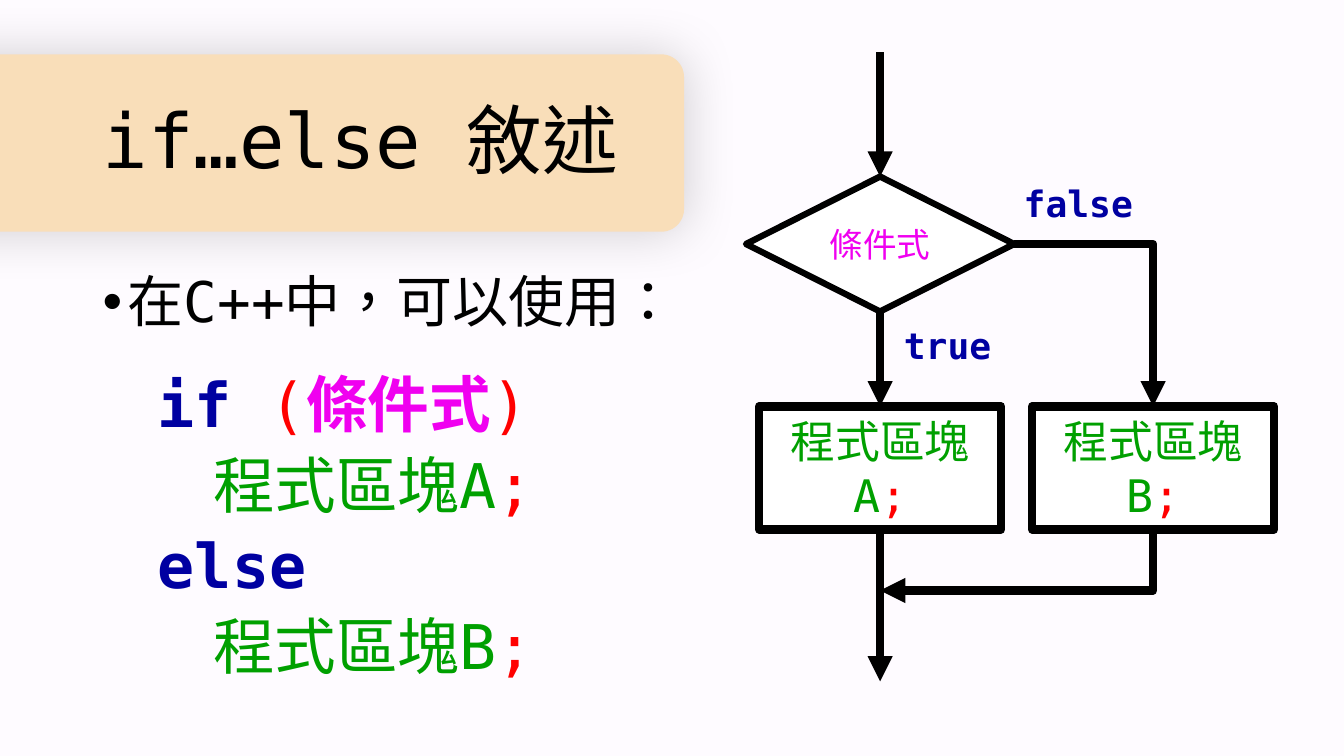
"""Build a slide that explains the if…else statement with a flow chart."""
from dataclasses import dataclass
from typing import NamedTuple

from lxml import etree
from pptx import Presentation
from pptx.dml.color import RGBColor
from pptx.enum.shapes import MSO_CONNECTOR, MSO_SHAPE
from pptx.enum.text import MSO_ANCHOR, PP_ALIGN
from pptx.oxml.ns import qn
from pptx.util import Cm, Pt

ROUNDED = MSO_SHAPE.ROUNDED_RECTANGLE
DECISION = MSO_SHAPE.FLOWCHART_DECISION
PROCESS = MSO_SHAPE.FLOWCHART_PROCESS
STRAIGHT, ELBOW = MSO_CONNECTOR.STRAIGHT, MSO_CONNECTOR.ELBOW
TOP, MIDDLE = MSO_ANCHOR.TOP, MSO_ANCHOR.MIDDLE
LEFT, CENTER = PP_ALIGN.LEFT, PP_ALIGN.CENTER
SITE_TOP, SITE_BOTTOM = 0, 2

FONT = "DejaVu Sans Mono"
BLACK, WHITE, BACKGROUND, PEACH = "000000", "FFFFFF", "FEFBFF", "F9DEB9"
NAVY, RED, MAGENTA, GREEN = "0000A1", "FF0000", "F000F0", "00A000"


class Span(NamedTuple):
    text: str
    color: str = BLACK
    bold: bool = False


class Area(NamedTuple):
    left: float
    top: float
    width: float
    height: float

    @property
    def center(self) -> float:
        return self.left + self.width / 2

    @property
    def middle(self) -> float:
        return self.top + self.height / 2

    @property
    def right(self) -> float:
        return self.left + self.width

    @property
    def bottom(self) -> float:
        return self.top + self.height

    def lengths(self) -> list:
        return [Cm(value) for value in self]


@dataclass
class TextBlock:
    area: Area
    size: float
    lines: list
    anchor: MSO_ANCHOR = MIDDLE
    spacing: float = 0.9
    bullet: bool = False


@dataclass
class FlowNode:
    kind: MSO_SHAPE
    area: Area
    size: float
    border: float
    spans: list


def color_of(code: str) -> RGBColor:
    return RGBColor.from_string(code)


def block_name(letter: str) -> list:
    return [Span(f"程式區塊{letter}", GREEN), Span(";", RED)]


def add_bullet(para) -> None:
    properties = para._p.get_or_add_pPr()
    properties.set("marL", str(Cm(0.635)))
    properties.set("indent", str(-Cm(0.635)))
    etree.SubElement(properties, qn("a:buFont"), typeface="Arial")
    etree.SubElement(properties, qn("a:buChar"), char="•")


def write_lines(frame, lines: list, size: float, anchor, align, spacing: float) -> None:
    frame.word_wrap = True
    frame.vertical_anchor = anchor
    for index, spans in enumerate(lines):
        para = frame.paragraphs[0] if index == 0 else frame.add_paragraph()
        para.alignment = align
        para.line_spacing = spacing
        if index:
            para.space_before = Pt(10)
        for text, color, bold in spans:
            span = para.add_run()
            span.text = text
            style = {"name": FONT, "size": Pt(size), "bold": bold}
            for name, value in style.items():
                setattr(span.font, name, value)
            span.font.color.rgb = color_of(color)
            span._r.get_or_add_rPr().set("lang", "zh-TW")


def draw_text(page, block: TextBlock) -> None:
    frame = page.shapes.add_textbox(*block.area.lengths()).text_frame
    if block.bullet:
        add_bullet(frame.paragraphs[0])
    write_lines(frame, block.lines, block.size, block.anchor, LEFT, block.spacing)


def draw_band(page, area: Area) -> None:
    band = page.shapes.add_shape(ROUNDED, *area.lengths())
    band.adjustments[0] = 0.128
    band.fill.solid()
    band.fill.fore_color.rgb = color_of(PEACH)
    band.line.fill.background()
    effects = etree.SubElement(band._element.spPr, qn("a:effectLst"))
    shadow = etree.SubElement(effects, qn("a:outerShdw"), blurRad=str(Pt(38)), dist="0")
    tint = etree.SubElement(shadow, qn("a:srgbClr"), val=BLACK)
    etree.SubElement(tint, qn("a:alpha"), val="19000")


def draw_node(page, node: FlowNode):
    shape = page.shapes.add_shape(node.kind, *node.area.lengths())
    shape.shadow.inherit = False
    shape.fill.solid()
    shape.fill.fore_color.rgb = color_of(WHITE)
    shape.line.color.rgb = color_of(BLACK)
    shape.line.width = Pt(node.border)
    write_lines(shape.text_frame, [node.spans], node.size, MIDDLE, CENTER, 1.0)
    return shape


def draw_arrow(page, kind, start: tuple, end: tuple):
    points = [Cm(value) for value in (*start, *end)]
    arrow = page.shapes.add_connector(kind, *points)
    arrow.line.color.rgb = color_of(BLACK)
    arrow.line.width = Pt(6)
    etree.SubElement(arrow.line._get_or_add_ln(), qn("a:tailEnd"), type="triangle")
    etree.SubElement(arrow._element.spPr, qn("a:effectLst"))
    return arrow


def draw_bent_arrow(page, start: tuple, end: tuple, down_first: bool = False) -> None:
    """Draw a one-corner arrow; down_first turns it to go down, then left."""
    if down_first:
        center, middle = (start[0] + end[0]) / 2, (start[1] + end[1]) / 2
        half_width, half_height = (end[1] - start[1]) / 2, (start[0] - end[0]) / 2
        start = (center - half_width, middle - half_height)
        end = (center + half_width, middle + half_height)
    properties = draw_arrow(page, ELBOW, start, end)._element.spPr
    properties.find(qn("a:prstGeom")).set("prst", "bentConnector2")
    if down_first:
        properties.find(qn("a:xfrm")).set("rot", str(90 * 60000))


def draw_flow(page) -> None:
    test_area = Area(18.8, 4.45, 6.76, 3.4)
    yes_area = Area(19.13, 10.24, 6.1, 3.1)
    no_area = yes_area._replace(left=26.01)
    test = draw_node(page, FlowNode(DECISION, test_area, 24, 4.5, [Span("條件式", MAGENTA)]))
    yes = draw_node(page, FlowNode(PROCESS, yes_area, 32, 6, block_name("A")))
    draw_node(page, FlowNode(PROCESS, no_area, 32, 6, block_name("B")))

    axis = test_area.center
    entry = draw_arrow(page, STRAIGHT, (axis, 1.32), (axis, test_area.top))
    entry.end_connect(test, SITE_TOP)
    branch = draw_arrow(page, STRAIGHT, (axis, test_area.bottom), (axis, yes_area.top))
    branch.begin_connect(test, SITE_BOTTOM)
    branch.end_connect(yes, SITE_TOP)
    leave = draw_arrow(page, STRAIGHT, (axis, yes_area.bottom), (axis, 17.17))
    leave.begin_connect(yes, SITE_BOTTOM)
    draw_bent_arrow(page, (test_area.right, test_area.middle), (no_area.center, no_area.top))
    draw_bent_arrow(page, (no_area.center, no_area.bottom), (axis, 14.88), down_first=True)


def main() -> None:
    deck = Presentation()
    deck.slide_width, deck.slide_height = Cm(33.87), Cm(19.05)
    page = deck.slides.add_slide(deck.slide_layouts[6])
    page.background.fill.solid()
    page.background.fill.fore_color.rgb = color_of(BACKGROUND)

    code = [
        [Span("if ", NAVY, True), Span("(", RED), Span("條件式", MAGENTA, True), Span(")", RED)],
        [Span("    "), *block_name("A")],
        [Span("else", NAVY, True)],
        [Span("    "), *block_name("B")],
    ]
    draw_band(page, Area(-3.99, 1.37, 21.23, 4.47))
    for block in (
        TextBlock(Area(2.34, 1.8, 29.21, 3.68), 54, [[Span("if…else 敘述")]]),
        TextBlock(Area(2.34, 6.78, 29.21, 10.39), 40, [[Span("在C++中，可以使用：")]], TOP, bullet=True),
        TextBlock(Area(3.73, 9.3, 13.39, 8.03), 44, code),
        TextBlock(Area(22.53, 8.2, 3.02, 1.19), 25.9, [[Span("true", NAVY, True)]], spacing=0.8),
        TextBlock(Area(25.55, 4.62, 3.38, 1.19), 25.9, [[Span("false", NAVY, True)]], spacing=0.8),
    ):
        draw_text(page, block)
    draw_flow(page)
    deck.save("out.pptx")


if __name__ == "__main__":
    main()
